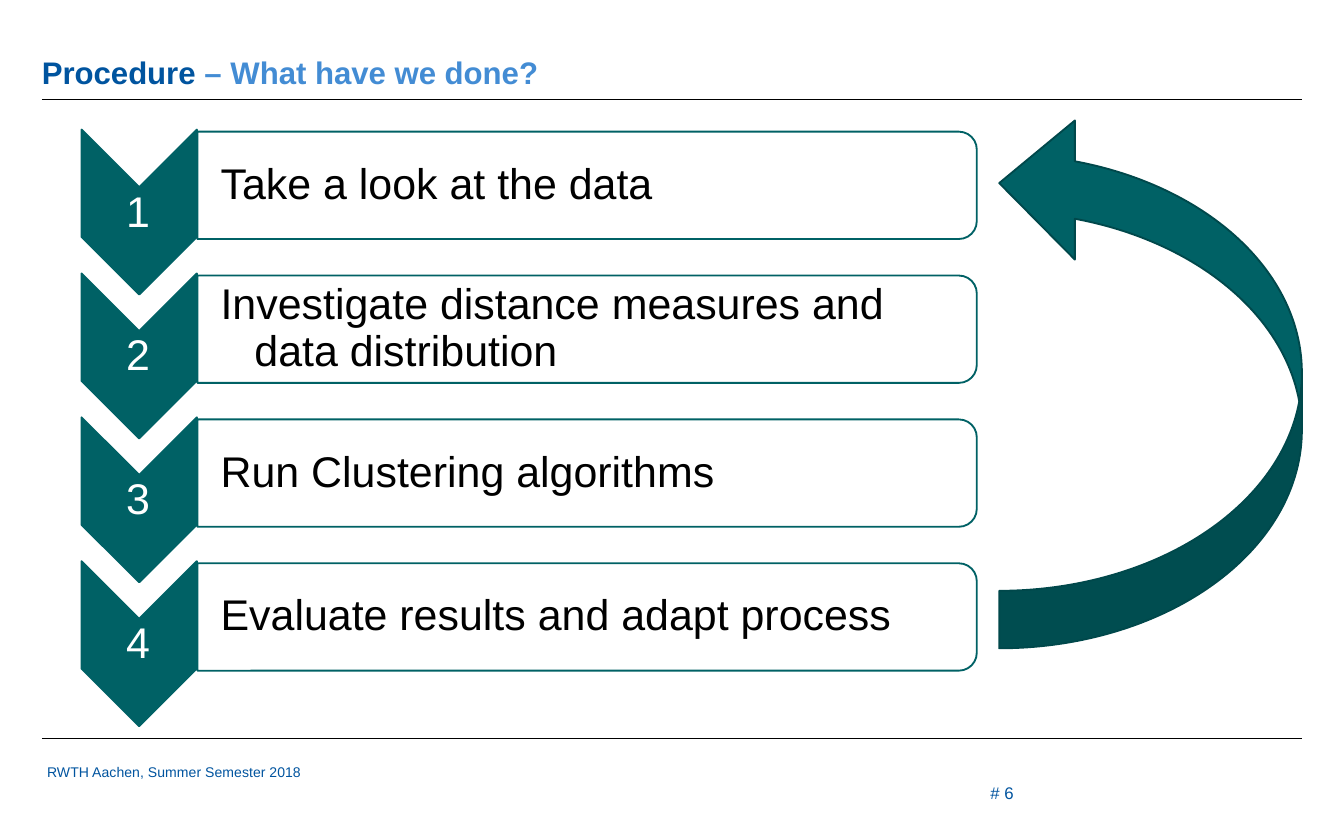
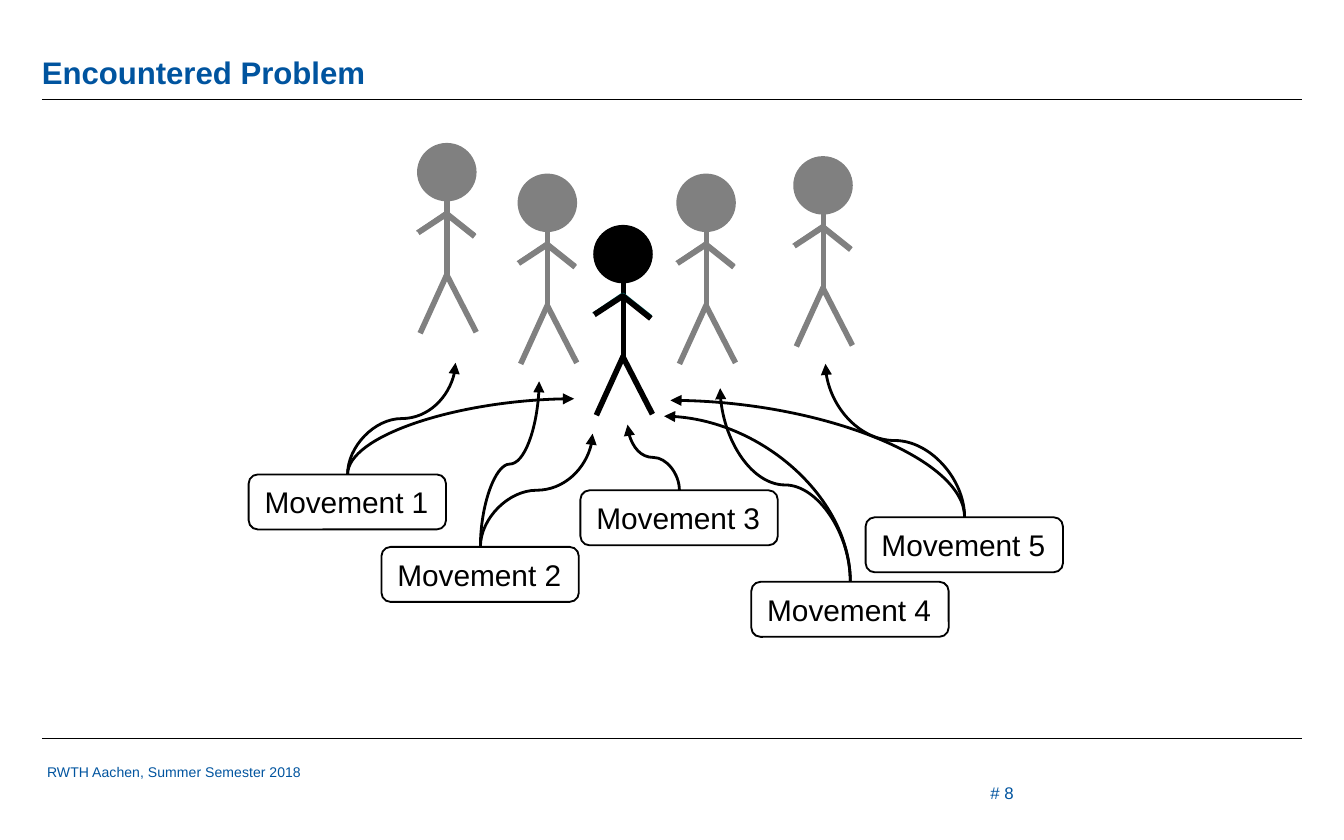
from lxml import etree
from pptx import Presentation
from pptx.dml.color import RGBColor
from pptx.enum import shapes, text
from pptx.oxml import ns
from pptx.util import Cm, Pt

BLUE, LIGHT_BLUE = "00549F", "438CD4"
TEAL, DARK_TEAL = "006165", "00484B"
BLACK, WHITE, GRAY = "000000", "FFFFFF", "808080"
FONT = "Arial"
SHAPE = shapes.MSO_SHAPE
CONNECTOR = shapes.MSO_CONNECTOR
ALIGN = text.PP_ALIGN
ANCHOR = text.MSO_ANCHOR


def color(value):
    return RGBColor.from_string(value)


def add_xml(parent, tag, **attributes):
    return etree.SubElement(parent, ns.qn(tag), **attributes)


class Slides:
    """Holds the shared style and the slide being filled."""

    def __init__(self):
        self.deck = Presentation()
        self.deck.slide_width, self.deck.slide_height = Cm(25.4), Cm(15.88)
        self.page = None

    def new_page(self, number, *title_parts):
        self.page = self.deck.slides.add_slide(self.deck.slide_layouts[5])
        # Title with rules above and below the content
        self.title(title_parts)
        for y in (1.88, 13.97):
            self.line((0.79, y), (24.61, y), BLACK, 0.5)
        # Footer and page number
        self.label("RWTH Aachen, Summer Semester 2018", (0.89, 14.43, 5.46, 1.45),
                   7.5, BLUE, margins=(0, 0))
        self.label(f"# {number}", (18.47, 14.48, 2.54, 0.84), 9, BLUE,
                   margins=(0.25, 0.13), spacing=1.5)

    def title(self, parts):
        box = self.page.shapes.title
        box.left, box.top, box.width, box.height = map(Cm, (0.79, 0.46, 23.8, 1.27))
        frame = box.text_frame
        self.set_margins(frame, 0, 0)
        frame.vertical_anchor = ANCHOR.BOTTOM
        frame.auto_size = text.MSO_AUTO_SIZE.NONE
        para = frame.paragraphs[0]
        para.alignment, para.line_spacing = ALIGN.LEFT, 0.9
        for words, shade in parts:
            span = para.add_run()
            span.text = words
            self.style_font(span.font, 16.7, shade, bold=True)

    def style_font(self, font, size, shade, bold=False):
        font.name, font.size, font.bold = FONT, Pt(size), bold
        font.color.rgb = color(shade)

    def set_margins(self, frame, left, other):
        frame.margin_left = Cm(left)
        frame.margin_top = frame.margin_right = frame.margin_bottom = Cm(other)

    def set_text(self, frame, words, size, shade, align=ALIGN.LEFT, spacing=None):
        frame.text = words
        para = frame.paragraphs[0]
        para.alignment = align
        if spacing:
            para.line_spacing = spacing
        self.style_font(para.runs[0].font, size, shade)
        return para

    def label(self, words, area, size, shade, margins=(0.05, 0.05),
              align=ALIGN.LEFT, anchor=ANCHOR.TOP, spacing=None, hanging=None):
        frame = self.page.shapes.add_textbox(*map(Cm, area)).text_frame
        frame.word_wrap = True
        frame.vertical_anchor = anchor
        self.set_margins(frame, *margins)
        para = self.set_text(frame, words, size, shade, align, spacing)
        if hanging:
            properties = para._p.get_or_add_pPr()
            properties.set("marL", str(Cm(hanging)))
            properties.set("indent", str(-Cm(hanging)))

    def shape(self, kind, area, fill, outline, rotation=0, parent=None):
        shape = (parent or self.page).shapes.add_shape(kind, *map(Cm, area))
        shape.rotation = rotation
        shape.shadow.inherit = False
        shape.fill.solid()
        shape.fill.fore_color.rgb = color(fill)
        shape.line.color.rgb = color(outline)
        shape.line.width = Pt(1)
        return shape

    def line(self, start, end, shade, width, kind=CONNECTOR.STRAIGHT, parent=None):
        line = (parent or self.page).shapes.add_connector(
            kind, *map(Cm, (*start, *end)))
        line.line.color.rgb = color(shade)
        line.line.width = Pt(width)
        add_xml(line.element.spPr, "a:effectLst")
        return line

    def rising_arrow(self, start, end, geometry):
        """Curve that leaves its start upwards: a sideways curve turned by 90°."""
        (x1, y1), (x2, y2) = start, end
        middle_x, middle_y = (x1 + x2) / 2, (y1 + y2) / 2
        half_width, half_height = (y1 - y2) / 2, abs(x2 - x1) / 2
        to_right = x2 > x1
        side = half_width if to_right else -half_width
        arrow = self.line((middle_x + side, middle_y + half_height),
                          (middle_x - side, middle_y - half_height),
                          BLACK, 1.5, CONNECTOR.CURVE)
        properties = arrow.element.spPr
        turn = 90 if to_right else 270
        properties.find(ns.qn("a:xfrm")).set("rot", str(turn * 60000))
        properties.find(ns.qn("a:prstGeom")).set("prst", geometry)
        add_xml(properties.find(ns.qn("a:ln")), "a:tailEnd", type="triangle")

    def step(self, number, words, offset):
        self.shape(SHAPE.CHEVRON, (1.07, 2.92 + offset, 3.12, 2.18), TEAL, TEAL, 90)
        self.label(str(number), (1.52, 3.56 + offset, 2.18, 0.94), 23, WHITE,
                   align=ALIGN.CENTER, anchor=ANCHOR.MIDDLE, spacing=0.9)
        panel = self.shape(SHAPE.ROUND_2_SAME_RECTANGLE,
                           (10.08, -3.86 + offset, 2.03, 14.73), WHITE, TEAL, 90)
        fill = panel.element.spPr.find(ns.qn("a:solidFill"))
        add_xml(fill[0], "a:alpha", val="90000")
        self.label(words, (3.71, 2.59 + offset, 14.63, 1.83), 23, BLACK,
                   margins=(0.46, 0.05), anchor=ANCHOR.MIDDLE, spacing=0.9,
                   hanging=0.64)

    def stick_figure(self, x, y, shade, thin_shade):
        group = self.page.shapes.add_group_shape()
        self.shape(SHAPE.OVAL, (x, y, 1.09, 1.07), shade, shade, parent=group)
        trunk_and_legs = [(0.55, 1.07, 0.55, 2.57), (0.55, 2.46, 0.04, 3.58),
                          (0.55, 2.49, 1.1, 3.56)]
        thin_arms = [(0.55, 1.27, 1.09, 1.7), (0.53, 1.27, -0.03, 1.65)]
        arms = [(0.53, 1.32, 1.07, 1.75), (0.55, 1.32, 0, 1.68)]
        for limbs, limb_shade, width in ((trunk_and_legs, shade, 3),
                                         (thin_arms, thin_shade, 0.5),
                                         (arms, shade, 3)):
            for x1, y1, x2, y2 in limbs:
                self.line((x + x1, y + y1), (x + x2, y + y2), limb_shade, width,
                          parent=group)

    def movement_box(self, number, x, y):
        box = self.shape(SHAPE.ROUNDED_RECTANGLE, (x, y, 3.73, 1.04), WHITE, BLACK)
        frame = box.text_frame
        frame.word_wrap = False
        frame.auto_size = text.MSO_AUTO_SIZE.SHAPE_TO_FIT_TEXT
        self.set_text(frame, f"Movement {number}", 16, BLACK)


def procedure(slides):
    slides.new_page(6, ("Procedure ", BLUE), ("– What have we done?", LIGHT_BLUE))
    # Numbered steps
    steps = ["Take a look at the data",
             "Investigate distance measures and data distribution",
             "Run Clustering algorithms",
             "Evaluate results and adapt process"]
    for index, words in enumerate(steps):
        slides.step(index + 1, words, 2.72 * index)
    # Arrow back to the first step
    arrow = slides.shape(SHAPE.CURVED_UP_ARROW, (16.69, 4.34, 10.11, 5.72),
                         TEAL, DARK_TEAL, 270)
    for index, value in enumerate((0.19, 0.46, 0.25)):
        arrow.adjustments[index] = value


def problem(slides):
    slides.new_page(8, ("Encountered Problem", BLUE))
    # People in the background
    for x, y in ((12.8, 3.3), (9.8, 3.3), (7.9, 2.72), (15.01, 2.97)):
        slides.stick_figure(x, y, GRAY, GRAY)
    # Movement boxes, then the person in front
    boxes = [(4.7, 8.97), (7.21, 10.34), (10.97, 9.27), (14.2, 11), (16.36, 9.78)]
    for number, (x, y) in enumerate(boxes, 1):
        slides.movement_box(number, x, y)
    slides.stick_figure(11.23, 4.27, BLACK, TEAL)
    # Arrows from the top centre of each box
    wave, bend = "curvedConnector3", "curvedConnector2"
    targets = [(3, (11.86, 8.03), wave),
               (1, (8.61, 6.86), wave), (2, (10.19, 7.21), wave),
               (4, (13.61, 7.34), wave), (5, (15.6, 6.88), wave),
               (1, (10.85, 7.54), bend), (5, (12.67, 7.57), bend),
               (2, (11.2, 8.2), wave), (4, (12.55, 7.87), bend)]
    for number, target, geometry in targets:
        x, y = boxes[number - 1]
        slides.rising_arrow((x + 1.87, y), target, geometry)


def main():
    slides = Slides()
    procedure(slides)
    problem(slides)
    slides.deck.save("out.pptx")


if __name__ == "__main__":
    main()
